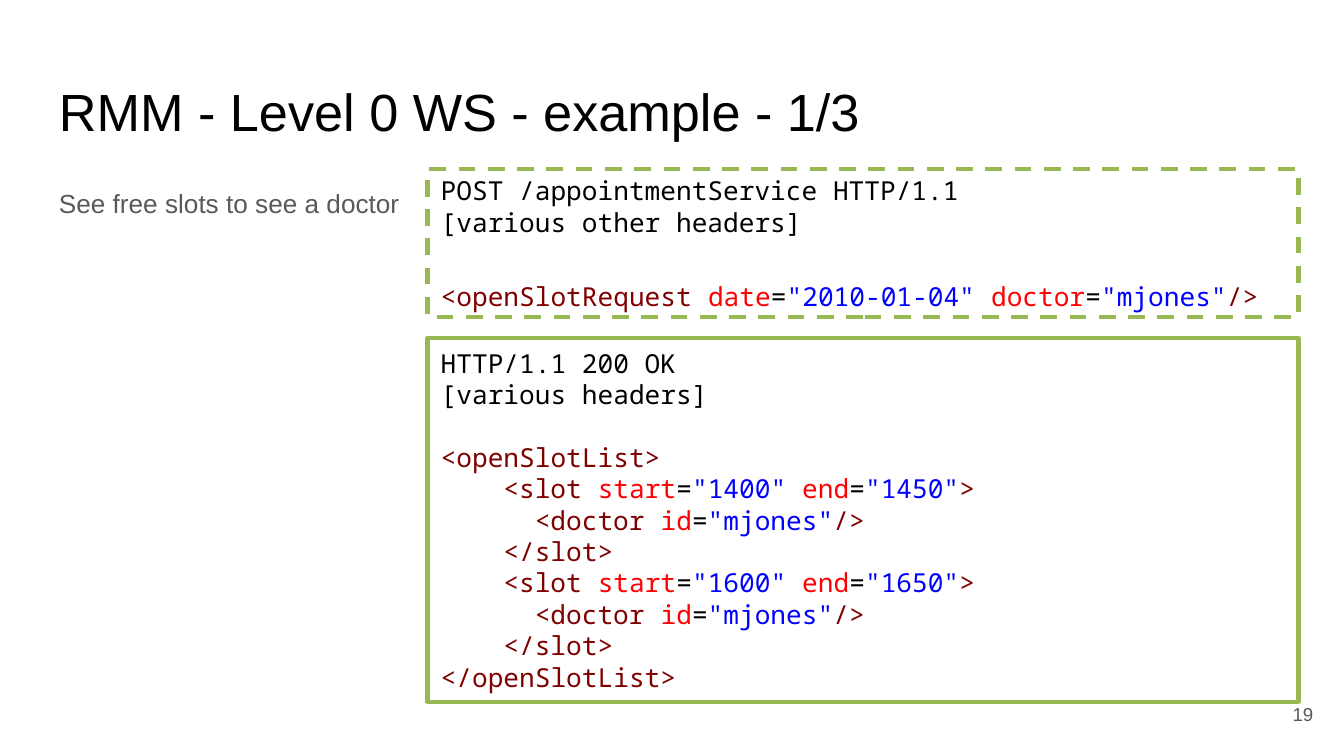
import pptx
import pptx.dml.color
import pptx.enum.dml
import pptx.enum.shapes
import pptx.enum.text
import pptx.util

Pt = pptx.util.Pt
ALIGN = pptx.enum.text.PP_ALIGN
ANCHOR = pptx.enum.text.MSO_ANCHOR

BLACK, GREY, GREEN = "000000", "595959", "97B853"
TAG, ATTRIBUTE, VALUE = "800000", "FF0000", "0000FF"
CODE_SIZE = 14
CHARACTER_WIDTH = 8.4   # advance of the monospaced font at 14 pt
CODE_LINE = 16.8        # height of one code line


def plain(text):
    return [(text, BLACK)]


def tag(opening, attributes=(), closing=""):
    """Coloured pieces of one XML tag."""
    pieces = [(opening, TAG)]
    for name, value in attributes:
        pieces += [(" ", BLACK), (name, ATTRIBUTE), ("=", BLACK), (f'"{value}"', VALUE)]
    if closing:
        pieces.append((closing, TAG))
    return pieces


def slot(start, end):
    """Three code lines that describe one free slot."""
    return [
        {"pieces": tag("<slot", [("start", start), ("end", end)], ">"), "indent": 4},
        {"pieces": tag("<doctor", [("id", "mjones")], "/>"), "indent": 6},
        {"pieces": tag("</slot>"), "indent": 4},
    ]


# Content: text, box (left, top, width, height), size, colour, layout
LABELS = [
    ("RMM - Level 0 WS - example - 1/3", (24.5, 35.3, 671, 45.4), 28, BLACK, {}),
    ("See free slots to see a doctor", (24.5, 90.7, 314.6, 269.3), 14, GREY,
     {"line_spacing": 1.15}),
    ("19", (667.4, 367.2, 43.2, 31), 10, GREY,
     {"alignment": ALIGN.RIGHT, "anchor": ANCHOR.MIDDLE}),
]
REQUEST = [
    {"pieces": plain("POST /appointmentService HTTP/1.1")},
    {"pieces": plain("[various other headers]")},
    {"pieces": tag("<openSlotRequest", [("date", "2010-01-04"), ("doctor", "mjones")], "/>"),
     "gap": True, "line_spacing": 1.36},
]
RESPONSE = [
    {"pieces": plain("HTTP/1.1 200 OK")},
    {"pieces": plain("[various headers]")},
    {"pieces": tag("<openSlotList>"), "gap": True},
    *slot("1400", "1450"),
    *slot("1600", "1650"),
    {"pieces": tag("</openSlotList>")},
]
CODE_LEFT, CODE_WIDTH = 229, 466.6
CODE_BOXES = [  # top, height, dash, lines
    (90.7, 79.2, pptx.enum.dml.MSO_LINE.DASH, REQUEST),
    (180.9, 195, None, RESPONSE),
]


def color(value):
    return pptx.dml.color.RGBColor.from_string(value)


def prepare_frame(shape, anchor):
    frame = shape.text_frame
    frame.word_wrap = True
    frame.vertical_anchor = anchor
    frame.margin_left = frame.margin_right = Pt(7.2)
    frame.margin_top = frame.margin_bottom = Pt(7.2)
    return frame


def add_label(slide, text, box, size, text_color, layout):
    shape = slide.shapes.add_textbox(*map(Pt, box))
    frame = prepare_frame(shape, layout.get("anchor", ANCHOR.TOP))
    paragraph = frame.paragraphs[0]
    paragraph.text = text
    paragraph.alignment = layout.get("alignment", ALIGN.LEFT)
    paragraph.line_spacing = layout.get("line_spacing", 1.0)
    paragraph.font.name = "Arial"
    paragraph.font.size = Pt(size)
    paragraph.font.color.rgb = color(text_color)


def add_code_box(slide, top, height, dash, lines):
    shape = slide.shapes.add_shape(
        pptx.enum.shapes.MSO_SHAPE.RECTANGLE,
        Pt(CODE_LEFT), Pt(top), Pt(CODE_WIDTH), Pt(height))
    shape.shadow.inherit = False
    shape.fill.background()
    shape.line.color.rgb = color(GREEN)
    shape.line.width = Pt(2.25)
    if dash:
        shape.line.dash_style = dash

    frame = prepare_frame(shape, ANCHOR.MIDDLE)
    for number, line in enumerate(lines):
        paragraph = frame.add_paragraph() if number else frame.paragraphs[0]
        paragraph.alignment = ALIGN.LEFT
        paragraph.line_spacing = line.get("line_spacing", 1.0)
        paragraph.font.name = "Noto Sans Mono"
        paragraph.font.size = Pt(CODE_SIZE)
        if line.get("gap"):
            paragraph.space_before = Pt(CODE_LINE)
        if "indent" in line:
            margin = Pt(line["indent"] * CHARACTER_WIDTH)
            paragraph._p.get_or_add_pPr().set("marL", str(margin))
        for text, text_color in line["pieces"]:
            run = paragraph.add_run()
            run.text = text
            run.font.color.rgb = color(text_color)


presentation = pptx.Presentation()
presentation.slide_width, presentation.slide_height = Pt(720), Pt(405)
slide = presentation.slides.add_slide(presentation.slide_layouts[6])

# Title, caption and page number
for label in LABELS:
    add_label(slide, *label)

# Request and response
for code_box in CODE_BOXES:
    add_code_box(slide, *code_box)

presentation.save("out.pptx")
